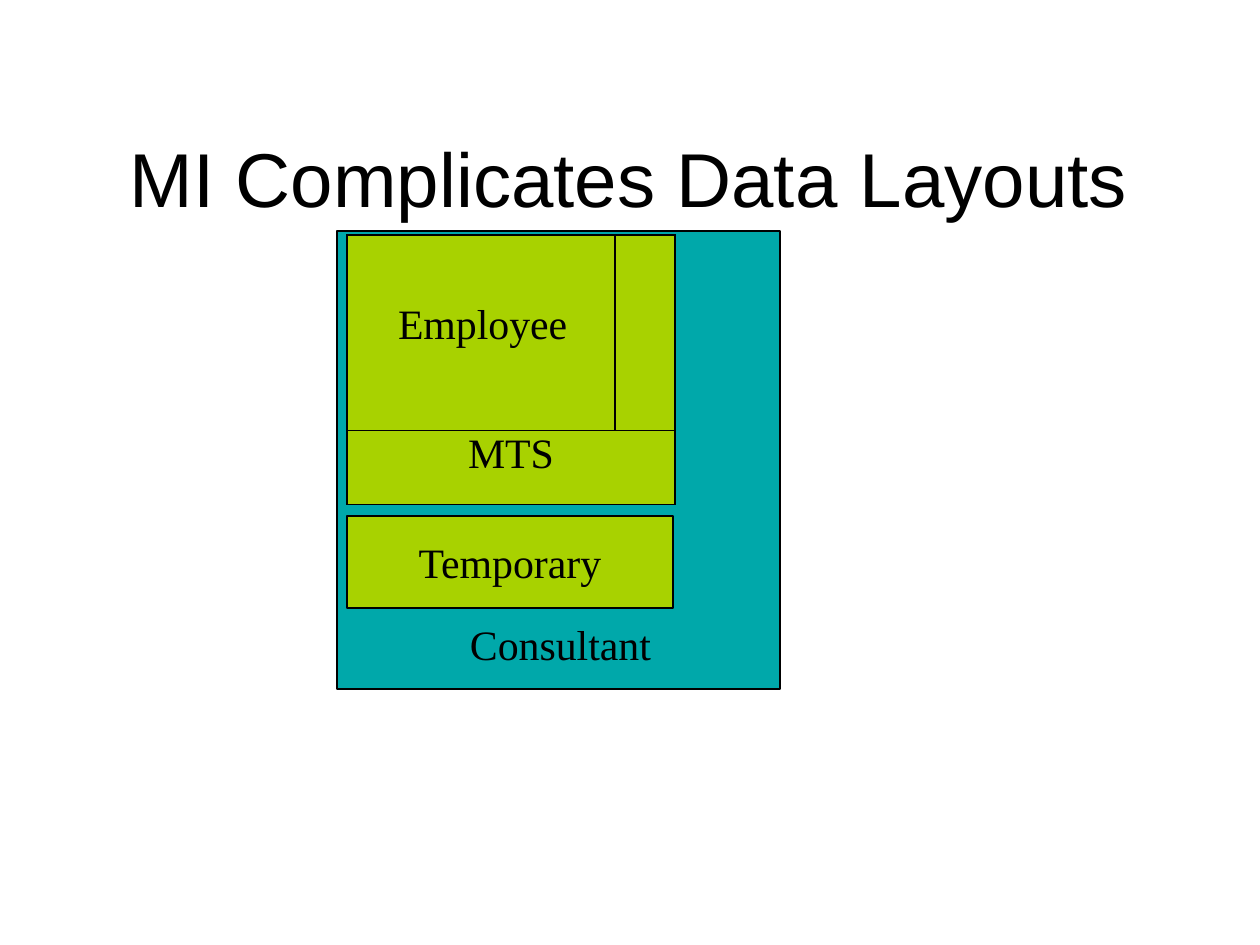
from lxml.etree import SubElement
from pptx import Presentation
from pptx.dml.color import RGBColor
from pptx.enum.shapes import MSO_SHAPE
from pptx.enum.text import MSO_ANCHOR, PP_ALIGN
from pptx.oxml import parse_xml
from pptx.oxml.ns import nsdecls, qn
from pptx.util import Pt

SCALE = 914400 / 88.6
INK, LIME, TEAL = "000000", "A8D200", "00A8AA"
LEFT = {"alignment": PP_ALIGN.LEFT}
MID = {"alignment": PP_ALIGN.CENTER}


def px(num):
    return round(num * SCALE)


def color(text):
    return RGBColor.from_string(text)


def apply(item, form):
    for key, value in form.items():
        setattr(item, key, value)


class Board:
    sides = ("left", "top", "right", "bottom")
    body = {"name": "Times New Roman", "size": Pt(34)}
    head = {"name": "Arial", "size": Pt(62)}

    def __init__(self, deck):
        self.slide = deck.slides.add_slide(deck.slide_layouts[6])
        self.shapes = self.slide.shapes

    def inset(self, item, left=0, top=0):
        apply(item, {f"margin_{side}": 0 for side in self.sides})
        apply(item, {"margin_left": px(left), "margin_top": px(top)})

    def letter(self, frame, text, font, form):
        para = frame.paragraphs[0]
        apply(para, form)
        run = para.add_run()
        run.text = text
        apply(run.font, font)
        run.font.color.rgb = color(INK)
        return para

    def label(self, box, text, font, top):
        frame = self.shapes.add_textbox(*map(px, box)).text_frame
        frame.word_wrap = True
        self.inset(frame, top=top)
        return self.letter(frame, text, font, LEFT)

    def tab(self, para, stop):
        stops = SubElement(para._p.get_or_add_pPr(), qn("a:tabLst"))
        SubElement(stops, qn("a:tab"), pos=str(px(stop)), algn="l")

    def block(self, box, fill, text=""):
        shape = self.shapes.add_shape(MSO_SHAPE.RECTANGLE, *map(px, box))
        shape.shadow.inherit = False
        shape.fill.solid()
        shape.fill.fore_color.rgb = color(fill)
        shape.line.color.rgb = color(INK)
        shape.line.width = Pt(1)
        if text:
            frame = shape.text_frame
            frame.vertical_anchor = MSO_ANCHOR.MIDDLE
            self.inset(frame)
            self.letter(frame, text, self.body, MID)

    def edge(self, cell):
        props = cell._tc.get_or_add_tcPr()
        for spot, side in enumerate("LRTB"):
            props.insert(spot, parse_xml(
                f'<a:ln{side} {nsdecls("a")} w="{Pt(1)}"><a:solidFill>'
                f'<a:srgbClr val="{INK}"/></a:solidFill></a:ln{side}>'))

    def table(self, left, top, cols, rows, fill):
        box = (left, top, sum(cols), sum(rows))
        table = self.shapes.add_table(
            len(rows), len(cols), *map(px, box)).table
        apply(table, {"first_row": False, "horz_banding": False})
        for col, width in zip(table.columns, cols):
            col.width = px(width)
        for row, height in zip(table.rows, rows):
            row.height = px(height)
        for cell in table.iter_cells():
            self.inset(cell)
            cell.fill.solid()
            cell.fill.fore_color.rgb = color(fill)
            self.edge(cell)
        return table


deck = Presentation()
apply(deck, {"slide_width": px(1260), "slide_height": px(945)})
board = Board(deck)

board.block((337, 231, 443, 458), TEAL)
title = board.label((130, 123, 1000, 92),
                    "MI Complicates Data\tLayouts", board.head, 8)
board.tab(title, 730)

staff = board.table(347, 235, (268, 60), (196, 74), LIME)
person, member = staff.cell(0, 0), staff.cell(1, 0)
member.merge(staff.cell(1, 1))
board.inset(person, left=51, top=67)
board.letter(person.text_frame, "Employee", board.body, LEFT)
board.letter(member.text_frame, "MTS", board.body, MID)

board.block((347, 516, 326, 92), LIME, "Temporary")
board.label((470, 614, 184, 52), "Consultant", board.body, 5)

deck.save("out.pptx")
